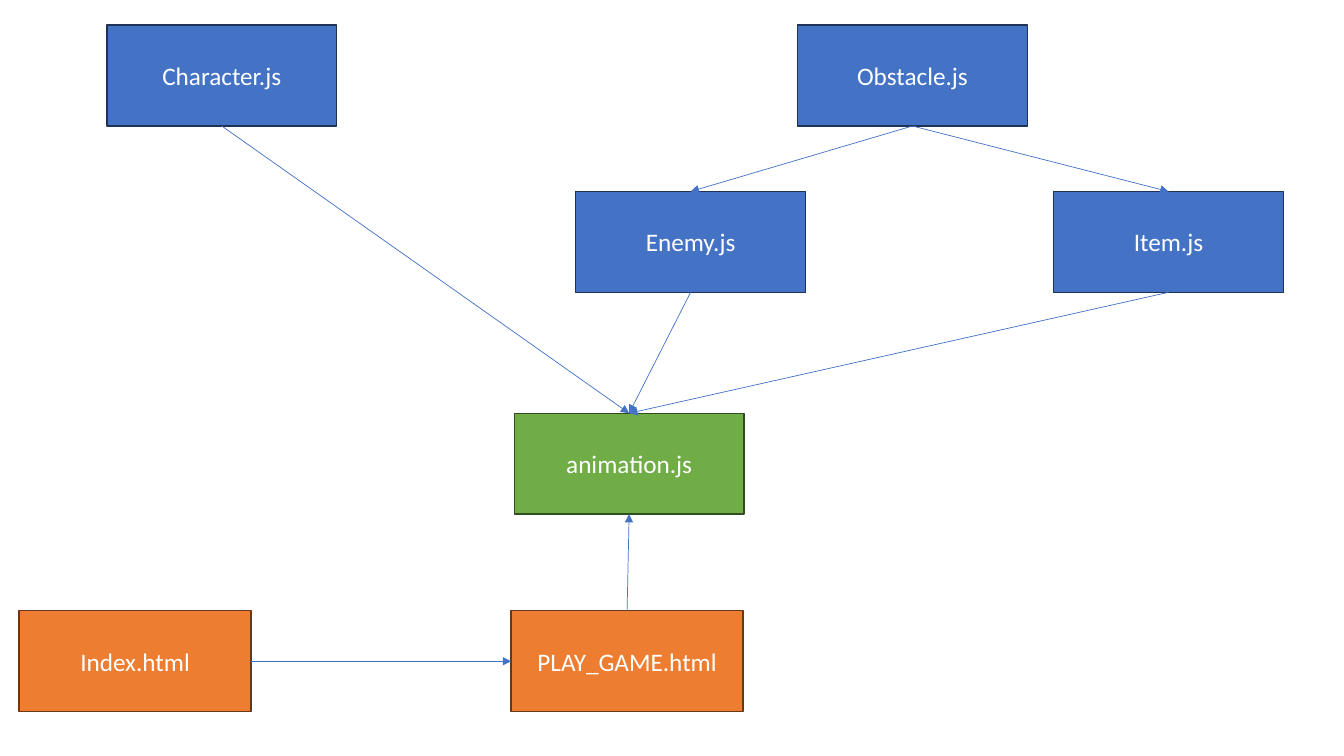
from lxml import etree
from pptx import Presentation
from pptx.dml.color import RGBColor
from pptx.enum.shapes import MSO_CONNECTOR, MSO_SHAPE
from pptx.enum.text import MSO_ANCHOR, PP_ALIGN
from pptx.oxml.ns import qn
from pptx.util import Inches, Pt

RECTANGLE = MSO_SHAPE.RECTANGLE
STRAIGHT = MSO_CONNECTOR.STRAIGHT
MIDDLE = MSO_ANCHOR.MIDDLE
CENTER = PP_ALIGN.CENTER
TOP, LEFT, BOTTOM, RIGHT = range(4)

COLORS = {
    "script": "4472C4", "script_edge": "1E3256",
    "animation": "70AD47", "animation_edge": "314C1F",
    "page": "ED7D31", "page_edge": "683715",
    "arrow": "4472C4", "text": "FFFFFF",
}
BOX_HEIGHT = 1
SCRIPT_WIDTH, PAGE_WIDTH = 2.28, 2.3
TOP_ROW, CHILD_ROW, ANIMATION_ROW, PAGE_ROW = 0.25, 1.9, 4.1, 6.06

# file name, left, top, width, role
FILES = [
    ("Character.js", 1.06, TOP_ROW, SCRIPT_WIDTH, "script"),
    ("Enemy.js", 5.71, CHILD_ROW, SCRIPT_WIDTH, "script"),
    ("Item.js", 10.45, CHILD_ROW, SCRIPT_WIDTH, "script"),
    ("Obstacle.js", 7.91, TOP_ROW, SCRIPT_WIDTH, "script"),
    ("animation.js", 5.1, ANIMATION_ROW, SCRIPT_WIDTH, "animation"),
    ("Index.html", 0.19, PAGE_ROW, PAGE_WIDTH, "page"),
    ("PLAY_GAME.html", 5.07, PAGE_ROW, PAGE_WIDTH, "page"),
]
# source file, side it leaves, target file, side it reaches
DEPENDENCIES = [
    ("Obstacle.js", BOTTOM, "Enemy.js", TOP),
    ("Obstacle.js", BOTTOM, "Item.js", TOP),
    ("Character.js", BOTTOM, "animation.js", TOP),
    ("Enemy.js", BOTTOM, "animation.js", TOP),
    ("Item.js", BOTTOM, "animation.js", TOP),
    ("Index.html", RIGHT, "PLAY_GAME.html", LEFT),
    ("PLAY_GAME.html", TOP, "animation.js", BOTTOM),
]


class Diagram:
    def __init__(self, slide, font="Calibri", size=18):
        self.slide = slide
        self.font = font
        self.size = size

    def color(self, name):
        return RGBColor.from_string(COLORS[name])

    def file_box(self, label, left, top, width, role):
        box = self.slide.shapes.add_shape(
            RECTANGLE, Inches(left), Inches(top), Inches(width), Inches(BOX_HEIGHT))
        box.shadow.inherit = False
        box.fill.solid()
        box.fill.fore_color.rgb = self.color(role)
        box.line.color.rgb = self.color(role + "_edge")
        box.line.width = Pt(1)
        frame = box.text_frame
        frame.word_wrap = True
        frame.vertical_anchor = MIDDLE
        paragraph = frame.paragraphs[0]
        paragraph.alignment = CENTER
        run = paragraph.add_run()
        run.text = label
        run.font.name = self.font
        run.font.size = Pt(self.size)
        run.font.color.rgb = self.color("text")
        return box

    def arrow(self, source, source_side, target, target_side):
        connector = self.slide.shapes.add_connector(STRAIGHT, 0, 0, 0, 0)
        connector.begin_connect(source, source_side)
        connector.end_connect(target, target_side)
        connector.line.color.rgb = self.color("arrow")
        connector.line.width = Pt(0.5)
        properties = connector._element.spPr
        line = properties.find(qn("a:ln"))
        etree.SubElement(line, qn("a:tailEnd"), type="triangle")
        etree.SubElement(properties, qn("a:effectLst"))


def main():
    presentation = Presentation()
    presentation.slide_width = Inches(13.33)
    presentation.slide_height = Inches(7.5)
    blank_layout = presentation.slide_layouts[6]
    diagram = Diagram(presentation.slides.add_slide(blank_layout))
    boxes = {entry[0]: diagram.file_box(*entry) for entry in FILES}
    for source, source_side, target, target_side in DEPENDENCIES:
        diagram.arrow(boxes[source], source_side, boxes[target], target_side)
    presentation.save("out.pptx")


if __name__ == "__main__":
    main()
